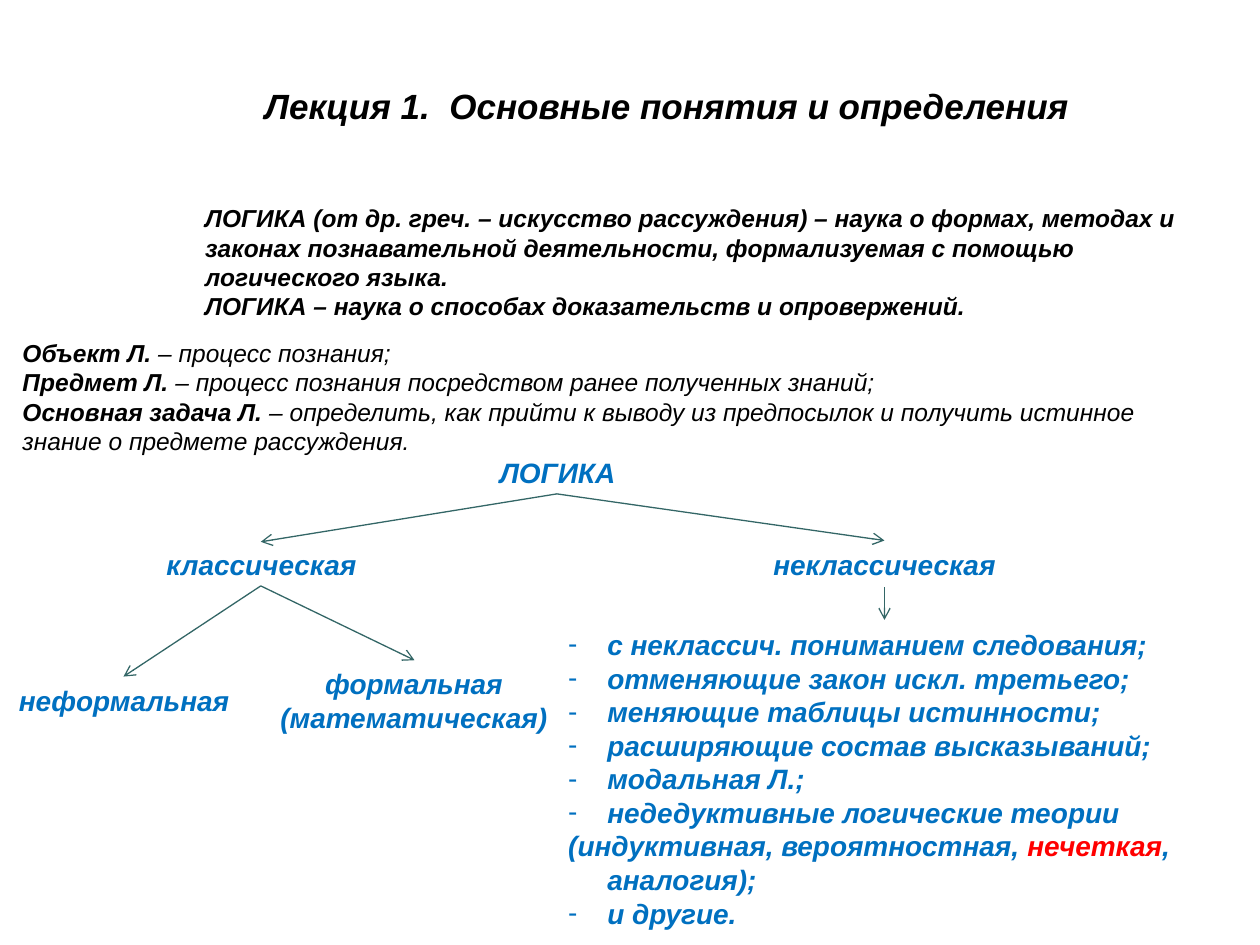
"""Build the lecture slide that defines logic and shows its branches."""
import pptx
import pptx.dml.color
import pptx.enum.shapes
import pptx.enum.text
import pptx.oxml
import pptx.oxml.ns
import pptx.util
from pptx.util import Inches

BLACK = pptx.dml.color.RGBColor(0x00, 0x00, 0x00)
BLUE = pptx.dml.color.RGBColor(0x00, 0x70, 0xC0)
RED = pptx.dml.color.RGBColor(0xFF, 0x00, 0x00)
TEAL = pptx.dml.color.RGBColor(0x33, 0x66, 0x66)
LEFT = pptx.enum.text.PP_ALIGN.LEFT
CENTER = pptx.enum.text.PP_ALIGN.CENTER
NAMESPACE = pptx.oxml.ns.nsdecls("a")


def place(shape, left, top, width, height):
    shape.left, shape.top = Inches(left), Inches(top)
    shape.width, shape.height = Inches(width), Inches(height)
    shape.text_frame.word_wrap = True
    shape.text_frame.auto_size = pptx.enum.text.MSO_AUTO_SIZE.NONE
    shape.text_frame.vertical_anchor = pptx.enum.text.MSO_ANCHOR.MIDDLE


def write(text_frame, paragraphs, size, alignment):
    for index, pieces in enumerate(paragraphs):
        paragraph = text_frame.add_paragraph() if index else text_frame.paragraphs[0]
        paragraph.alignment = alignment
        paragraph.space_before = pptx.util.Pt(0)
        for text, color, bold in pieces:
            run = paragraph.add_run()
            run.text = text
            run.font.name = "Arial"
            run.font.size = pptx.util.Pt(size)
            run.font.bold = bold
            run.font.italic = True
            run.font.color.rgb = color


presentation = pptx.Presentation()
presentation.slide_width = Inches(10)
presentation.slide_height = Inches(7.5)
slide = presentation.slides.add_slide(presentation.slide_layouts[1])

title = slide.shapes.title
place(title, 1.46, 0.58, 7.67, 0.52)
write(title.text_frame, [[("Лекция 1.  Основные понятия и определения", BLACK, True)]], 20, CENTER)

definitions = [
    "ЛОГИКА (от др. греч. – искусство рассуждения) – наука о формах, методах и "
    "законах познавательной деятельности, формализуемая с помощью логического языка.",
    "ЛОГИКА – наука о способах доказательств и опровержений.",
]
definition_box = slide.shapes.add_textbox(0, 0, 0, 0)
place(definition_box, 1.53, 1.56, 8.18, 1.04)
write(definition_box.text_frame, [[(text, BLACK, True)] for text in definitions], 14, LEFT)

terms = [
    ("Объект Л. ", "– процесс познания;"),
    ("Предмет Л. ", "– процесс познания посредством ранее полученных знаний;"),
    ("Основная задача Л. ", "– определить, как прийти к выводу из предпосылок "
     "и получить истинное знание о предмете рассуждения."),
]
term_box = slide.shapes.add_textbox(0, 0, 0, 0)
place(term_box, 0.08, 2.63, 9.51, 1.04)
write(term_box.text_frame,
      [[(term, BLACK, True), (meaning, BLACK, False)] for term, meaning in terms], 14, LEFT)

branches = [
    ("ЛОГИКА", 2.39, 3.56, 4.07, 0.37),
    ("классическая", -0.12, 4.29, 4.39, 0.37),
    ("неклассическая", 4.69, 4.29, 4.66, 0.37),
    ("неформальная", -0.08, 5.37, 2.13, 0.37),
    ("формальная (математическая)", 2.11, 5.24, 2.35, 0.64),
]
for name, left, top, width, height in branches:
    branch_box = slide.shapes.add_textbox(0, 0, 0, 0)
    place(branch_box, left, top, width, height)
    write(branch_box.text_frame, [[(name, BLUE, True)]], 16, CENTER)

nonclassical = [
    [("с неклассич. пониманием следования;", BLUE, True)],
    [("отменяющие закон искл. третьего;", BLUE, True)],
    [("меняющие таблицы истинности;", BLUE, True)],
    [("расширяющие состав высказываний;", BLUE, True)],
    [("модальная Л.;", BLUE, True)],
    [("недедуктивные логические теории", BLUE, True)],
    [("(индуктивная, вероятностная, ", BLUE, True), ("нечеткая", RED, True),
     (", аналогия);", BLUE, True)],
    [("и другие.", BLUE, True)],
]
nonclassical_list = slide.placeholders[1]
place(nonclassical_list, 4.41, 4.93, 5.22, 2.5)
write(nonclassical_list.text_frame, nonclassical, 16, LEFT)
for paragraph in nonclassical_list.text_frame.paragraphs:
    properties = paragraph._p.get_or_add_pPr()
    properties.set("marL", str(Inches(0.31)))
    properties.set("indent", str(Inches(-0.31)))
    if paragraph.text.startswith("("):
        bullet_parts = [f"<a:buNone {NAMESPACE}/>"]
    else:
        bullet_parts = [
            f'<a:buClr {NAMESPACE}><a:srgbClr val="{BLUE}"/></a:buClr>',
            f'<a:buFont {NAMESPACE} typeface="Arial"/>',
            f'<a:buChar {NAMESPACE} char="-"/>',
        ]
    for part in bullet_parts:
        properties.append(pptx.oxml.parse_xml(part))

logic, classical, other = (4.42, 3.92), (2.07, 4.65), (7.02, 4.66)
arrows = [
    (logic, (2.07, 4.3)),
    (logic, (7.02, 4.29)),
    (classical, (0.98, 5.37)),
    (classical, (3.29, 5.24)),
    (other, (7.02, 4.92)),
]
for start, end in arrows:
    arrow = slide.shapes.add_connector(
        pptx.enum.shapes.MSO_CONNECTOR.STRAIGHT, *map(Inches, start + end))
    arrow.line.color.rgb = TEAL
    arrow.line.width = pptx.util.Pt(0.75)
    arrow.line._get_or_add_ln().append(
        pptx.oxml.parse_xml(f'<a:tailEnd {NAMESPACE} type="arrow"/>'))
    arrow._element.spPr.append(pptx.oxml.parse_xml(f"<a:effectLst {NAMESPACE}/>"))

presentation.save("out.pptx")
